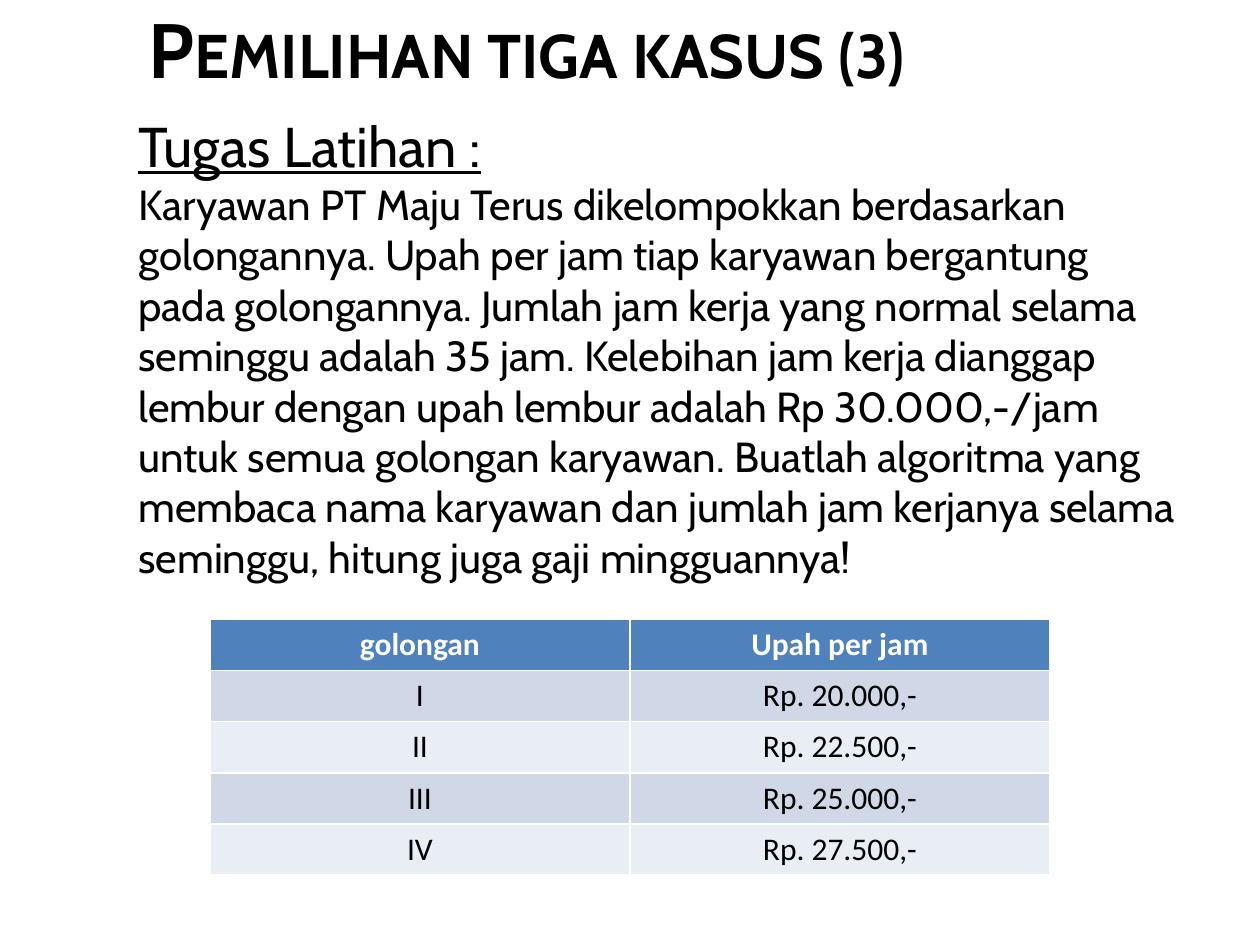
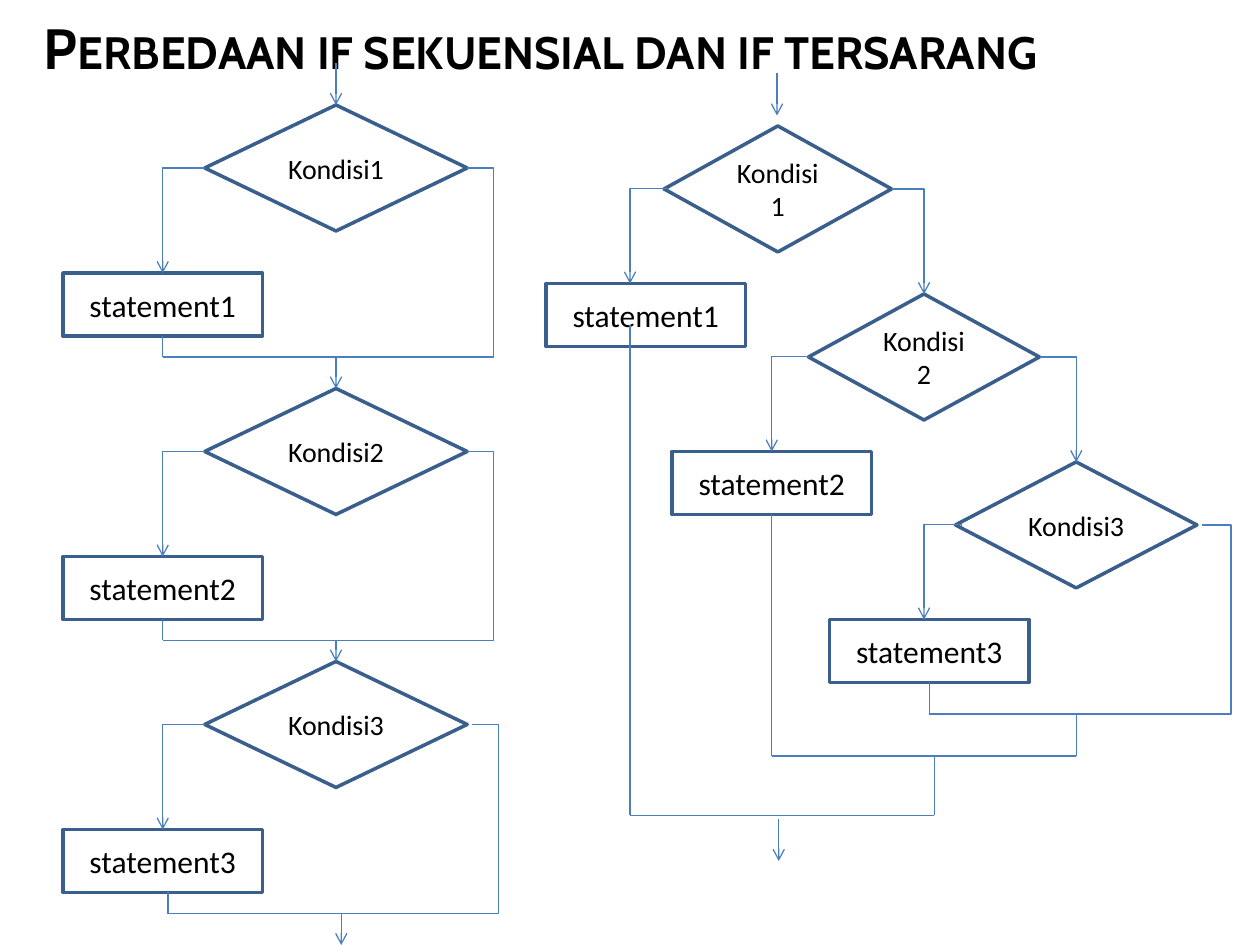
from lxml.etree import SubElement as add_child
from pptx import Presentation
from pptx.dml.color import RGBColor
from pptx.enum.shapes import MSO_CONNECTOR as LINK, MSO_SHAPE as SHAPE
from pptx.enum.text import MSO_ANCHOR as ANCHOR, PP_ALIGN as ALIGN
from pptx.oxml.ns import qn
from pptx.util import Pt

# Shared look
BLACK = RGBColor(0x00, 0x00, 0x00)
WHITE = RGBColor(0xFF, 0xFF, 0xFF)
HEADER_BLUE = RGBColor(0x4F, 0x81, 0xBD)
BAND_DARK = RGBColor(0xD0, 0xD8, 0xE8)
BAND_LIGHT = RGBColor(0xE9, 0xED, 0xF4)
OUTLINE = RGBColor(0x3A, 0x5F, 0x8C)
FLOW_LINE = RGBColor(0x4B, 0x7E, 0xBC)
HEADING_FONT, PLAIN_FONT = "Cabin", "Calibri"
TOP, LEFT, BOTTOM, RIGHT = range(4)

TASK = (
    "Karyawan PT Maju Terus dikelompokkan berdasarkan golongannya. "
    "Upah per jam tiap karyawan bergantung pada golongannya. "
    "Jumlah jam kerja yang normal selama seminggu adalah 35 jam. "
    "Kelebihan jam kerja dianggap lembur dengan upah lembur adalah "
    "Rp 30.000,-/jam untuk semua golongan karyawan. Buatlah algoritma yang "
    "membaca nama karyawan dan jumlah jam kerjanya selama seminggu, "
    "hitung juga gaji mingguannya!"
)
WAGES = [
    ("golongan", "Upah per jam"),
    ("I", "Rp. 20.000,-"),
    ("II", "Rp. 22.500,-"),
    ("III", "Rp. 25.000,-"),
    ("IV", "Rp. 27.500,-"),
]


def points(*lengths):
    return [Pt(length) for length in lengths]


def write(para, text, color=BLACK, **font):
    span = para.add_run()
    span.text = text
    span.font.color.rgb = color
    for name, value in font.items():
        setattr(span.font, name, value)
    return span


def add_text_box(page, box, anchor):
    frame = page.shapes.add_textbox(*points(*box)).text_frame
    frame.word_wrap = True
    frame.vertical_anchor = anchor
    return frame


def add_title(page, box, text, size):
    para = add_text_box(page, box, ANCHOR.MIDDLE).paragraphs[0]
    span = write(para, text, name=HEADING_FONT, size=Pt(size), bold=True)
    span.font._element.set("cap", "small")


# Exercise slide
def add_task(page, box):
    frame = add_text_box(page, box, ANCHOR.TOP)
    heading = frame.paragraphs[0]
    heading.space_before = Pt(12)
    write(heading, "Tugas Latihan :", name=HEADING_FONT, size=Pt(32), underline=True)
    write(frame.add_paragraph(), TASK, name=HEADING_FONT, size=Pt(24))


def add_wage_table(page, box):
    table = page.shapes.add_table(len(WAGES), 2, *points(*box)).table
    for row, values in enumerate(WAGES):
        header = row == 0
        fill = HEADER_BLUE if header else (BAND_LIGHT, BAND_DARK)[row % 2]
        for column, value in enumerate(values):
            cell = table.cell(row, column)
            cell.fill.solid()
            cell.fill.fore_color.rgb = fill
            para = cell.text_frame.paragraphs[0]
            para.alignment = ALIGN.CENTER
            write(para, value, WHITE if header else BLACK,
                  name=PLAIN_FONT, size=Pt(18), bold=header)


# Flowchart parts
def add_node(page, kind, box, text, size):
    node = page.shapes.add_shape(kind, *points(*box))
    node.shadow.inherit = False
    node.fill.solid()
    node.fill.fore_color.rgb = WHITE
    node.line.color.rgb = OUTLINE
    node.line.width = Pt(2)
    node.text_frame.word_wrap = True
    node.text_frame.vertical_anchor = ANCHOR.MIDDLE
    para = node.text_frame.paragraphs[0]
    para.alignment = ALIGN.CENTER
    write(para, text, name=PLAIN_FONT, size=Pt(size))
    return node


def add_condition(page, box, number):
    return add_node(page, SHAPE.FLOWCHART_DECISION, box, f"Kondisi{number}", 16)


def add_statement(page, left, top, number):
    return add_node(page, SHAPE.FLOWCHART_PROCESS, (left, top, 114, 36),
                    f"statement{number}", 18)


def add_flow(page, start, end, arrow=False, kind=LINK.STRAIGHT):
    flow = page.shapes.add_connector(kind, *points(*start, *end))
    flow.line.color.rgb = FLOW_LINE
    flow.line.width = Pt(0.75)
    properties = flow.element.spPr
    if arrow:
        add_child(properties.find(qn("a:ln")), qn("a:tailEnd"), type="arrow")
    add_child(properties, qn("a:effectLst"))
    return flow


def set_bend(flow, share):
    """Put the turn of an elbow at this share of its length."""
    geometry = flow.element.spPr.find(qn("a:prstGeom"))
    guides = geometry.find(qn("a:avLst"))
    if guides is None:
        guides = add_child(geometry, qn("a:avLst"))
    add_child(guides, qn("a:gd"), name="adj1", fmla=f"val {round(share * 100000)}")


def add_joined_elbow(page, source, source_side, target):
    """Leave the source sideways and drop onto the top of the target."""
    flow = add_flow(page, (0, 0), (0, 0), True, LINK.ELBOW)
    flow.begin_connect(source, source_side)
    flow.end_connect(target, TOP)
    flow.element.spPr.find(qn("a:prstGeom")).set("prst", "bentConnector2")


def add_left_drop(page, start, end):
    """Go left from the start, then down to the end."""
    (x, y), (end_x, end_y) = start, end
    length, reach = end_y - y, x - end_x
    middle_x, middle_y = (x + end_x) / 2, (y + end_y) / 2
    corner = middle_x - length / 2, middle_y - reach / 2
    flow = add_flow(page, corner, (corner[0] + length, corner[1] + reach),
                    True, LINK.ELBOW)
    flow.element.spPr.find(qn("a:xfrm")).set("rot", str(90 * 60000))
    set_bend(flow, -0.003)


def add_return(page, start, turn, end):
    """Go right to the turn, down, and back left to the end."""
    flow = add_flow(page, start, end, kind=LINK.ELBOW)
    set_bend(flow, (turn - start[0]) / (end[0] - start[0]))


def add_merge(page, start, floor, riser):
    """Go down to the floor, right, and up to the foot of the riser."""
    corners = [start, (start[0], floor), (riser[0], floor), riser]
    for begin, end in zip(corners, corners[1:]):
        add_flow(page, begin, end)


# Sequential ifs: conditions stacked in one column
def add_sequential_chart(page, box):
    left, top, width, height = box
    center = left + 156
    stage_tops = [top + offset for offset in (30, 192, 348)]
    entries = [top + 6, top + 174, top + 336]
    for number, (stage, entry) in enumerate(zip(stage_tops, entries), 1):
        shift = 3 if number == len(stage_tops) else 0
        condition = add_condition(page, (left + 81, stage, 150, 72), number)
        statement = add_statement(page, left, stage + 96, number)
        stem, floor = left + 57 + shift, stage + 144
        add_joined_elbow(page, condition, LEFT, statement)
        add_flow(page, (center, entry), (center, stage), True).end_connect(condition, TOP)
        add_return(page, (left + 231 + shift, stage + 36), left + width + shift,
                   (stem, floor))
        add_flow(page, (stem, stage + 132), (stem, floor))
    add_flow(page, (center + 3, floor), (center + 3, top + height), True)


# Nested ifs: conditions stepping down to the right
def add_nested_chart(page, box):
    left, top, width, height = box
    steps = [(67.5, 130, 0), (150, 132, 72), (234, 138, 162)]  # condition, width, statement
    drops = [(70, 48), (150, 129), (237.5, 216)]
    conditions = []
    for number, ((offset, wide, shift), (begin, end)) in enumerate(zip(steps, drops), 1):
        stage = top + 30 + 96 * (number - 1)
        condition = add_condition(page, (left + offset, stage, wide, 72), number)
        add_statement(page, left + shift, stage + 90, number)
        add_left_drop(page, (left + begin, stage + 36), (left + end, stage + 90))
        conditions.append(condition)
    for outer, inner in zip(conditions, conditions[1:]):
        add_joined_elbow(page, outer, RIGHT, inner)
    add_flow(page, (left + 132, top), (left + 132, top + 24), True)

    # Branches come together, innermost first
    inner_end = left + 219, top + 366
    add_return(page, (left + 375, top + 258), left + width, inner_end)
    add_flow(page, inner_end, (left + 219, top + 348))
    add_merge(page, (left + 129, top + 252), top + 390, (left + 303, top + 366))
    add_merge(page, (left + 48, top + 144), top + 424, (left + 222, top + 390))
    add_flow(page, (left + 133, top + 426), (left + 133, top + height), True)


def build_exercise(page):
    add_title(page, (78, -18, 624, 90), "Pemilihan tiga kasus (3)", 44)
    add_task(page, (72, 60, 612, 468))
    add_wage_table(page, (120, 354, 480, 146))


def build_comparison(page):
    add_title(page, (18, -18, 702, 90), "Perbedaan if sekuensial dan if tersarang", 32.4)
    add_sequential_chart(page, (36, 30, 246, 510))
    add_nested_chart(page, (312, 42, 391.5, 450))


def main():
    deck = Presentation()
    deck.slide_width, deck.slide_height = points(720, 540)
    for build in (build_exercise, build_comparison):
        build(deck.slides.add_slide(deck.slide_layouts[6]))
    deck.save("out.pptx")


if __name__ == "__main__":
    main()
